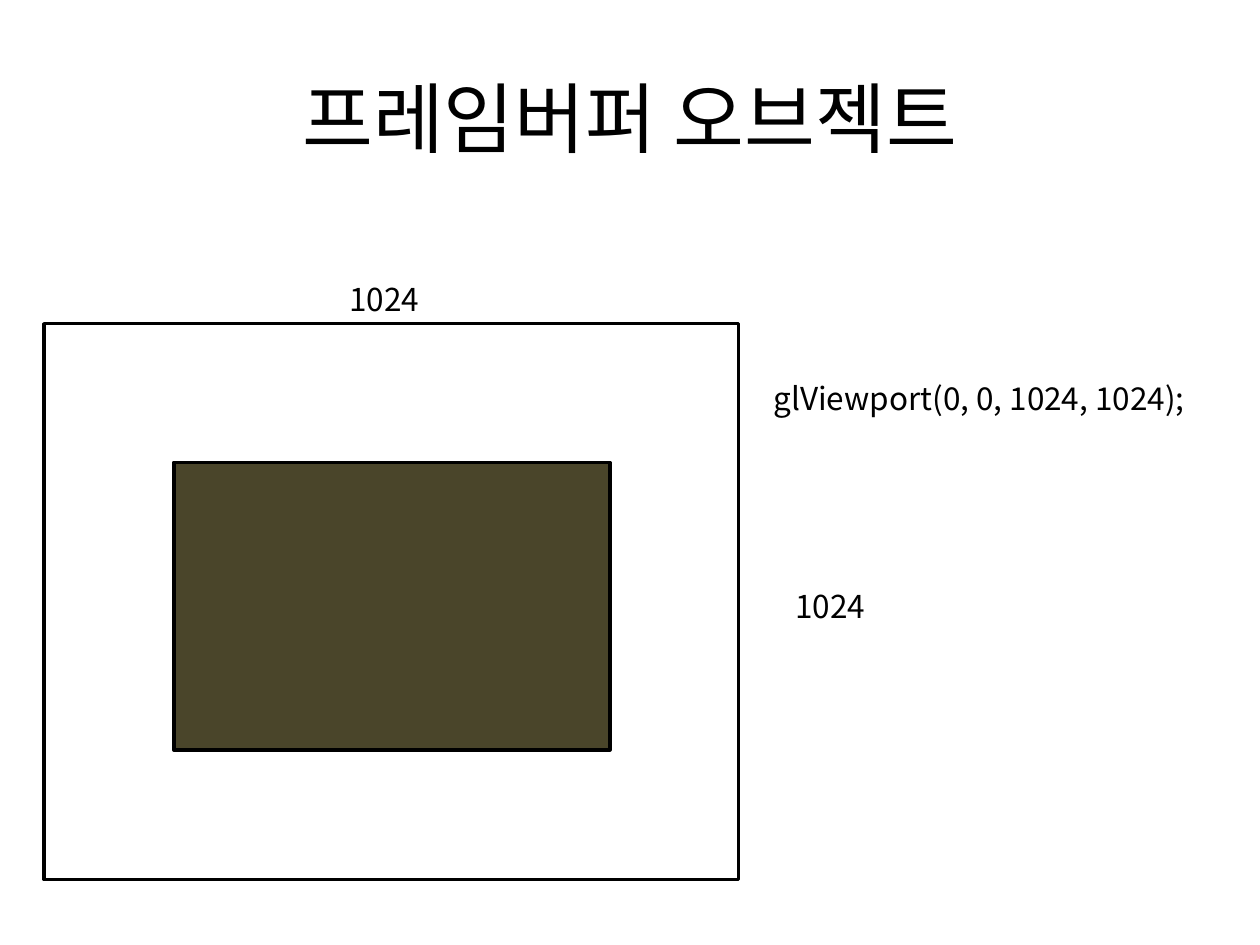
"""Build the framebuffer object slide with its viewport diagram."""
from lxml import etree
from pptx import Presentation
from pptx.dml.color import RGBColor
from pptx.enum.shapes import MSO_SHAPE
from pptx.enum.text import MSO_ANCHOR, MSO_AUTO_SIZE, PP_ALIGN
from pptx.oxml.ns import qn
from pptx.util import Pt

RECT = MSO_SHAPE.RECTANGLE
TOP, MIDDLE = MSO_ANCHOR.TOP, MSO_ANCHOR.MIDDLE
LEFT, CENTER = PP_ALIGN.LEFT, PP_ALIGN.CENTER
NO_FIT, GROW = MSO_AUTO_SIZE.NONE, MSO_AUTO_SIZE.SHAPE_TO_FIT_TEXT


def color(value):
    return RGBColor.from_string(value)


class SlideBuilder:
    font = "Noto Sans CJK KR"
    ink = "000000"
    line_width = 2
    label_height = 29

    def __init__(self, s):
        self.s = s

    def text(self, text, x, y, w, h, size, align, anchor=TOP, fit=NO_FIT):
        tf = self.s.shapes.add_textbox(Pt(x), Pt(y), Pt(w), Pt(h)).text_frame
        tf.word_wrap = True
        tf.auto_size = fit
        tf.vertical_anchor = anchor
        p = tf.paragraphs[0]
        p.text = text
        p.alignment = align
        p.font.size = Pt(size)
        p.font.color.rgb = color(self.ink)
        p.font.name = self.font
        props = p._p.pPr.find(qn("a:defRPr"))
        etree.SubElement(props, qn("a:ea")).set("typeface", self.font)

    def title(self, text):
        self.text(text, 36, 21.6, 648, 90, 44, CENTER, MIDDLE)

    def label(self, text, x, y, w=108, align=CENTER):
        self.text(text, x, y, w, self.label_height, 18, align, fit=GROW)

    def rectangle(self, x, y, w, h, fill):
        sp = self.s.shapes.add_shape(RECT, Pt(x), Pt(y), Pt(w), Pt(h))
        sp.shadow.inherit = False
        sp.fill.solid()
        sp.fill.fore_color.rgb = color(fill)
        sp.line.color.rgb = color(self.ink)
        sp.line.width = Pt(self.line_width)


def main():
    prs = Presentation()
    prs.slide_width, prs.slide_height = Pt(720), Pt(540)
    slide = SlideBuilder(prs.slides.add_slide(prs.slide_layouts[6]))
    slide.title("프레임버퍼 오브젝트")
    slide.rectangle(25.2, 185, 396.8, 317.6, "FFFFFF")
    slide.rectangle(99.3, 264.3, 249.2, 164.2, "4A452A")
    slide.label("1024", 165.6, 156.2)
    slide.label("1024", 420.5, 332)
    slide.label("glViewport(0, 0, 1024, 1024);", 434.9, 213.1, 283.7, LEFT)
    prs.save("out.pptx")


if __name__ == "__main__":
    main()
